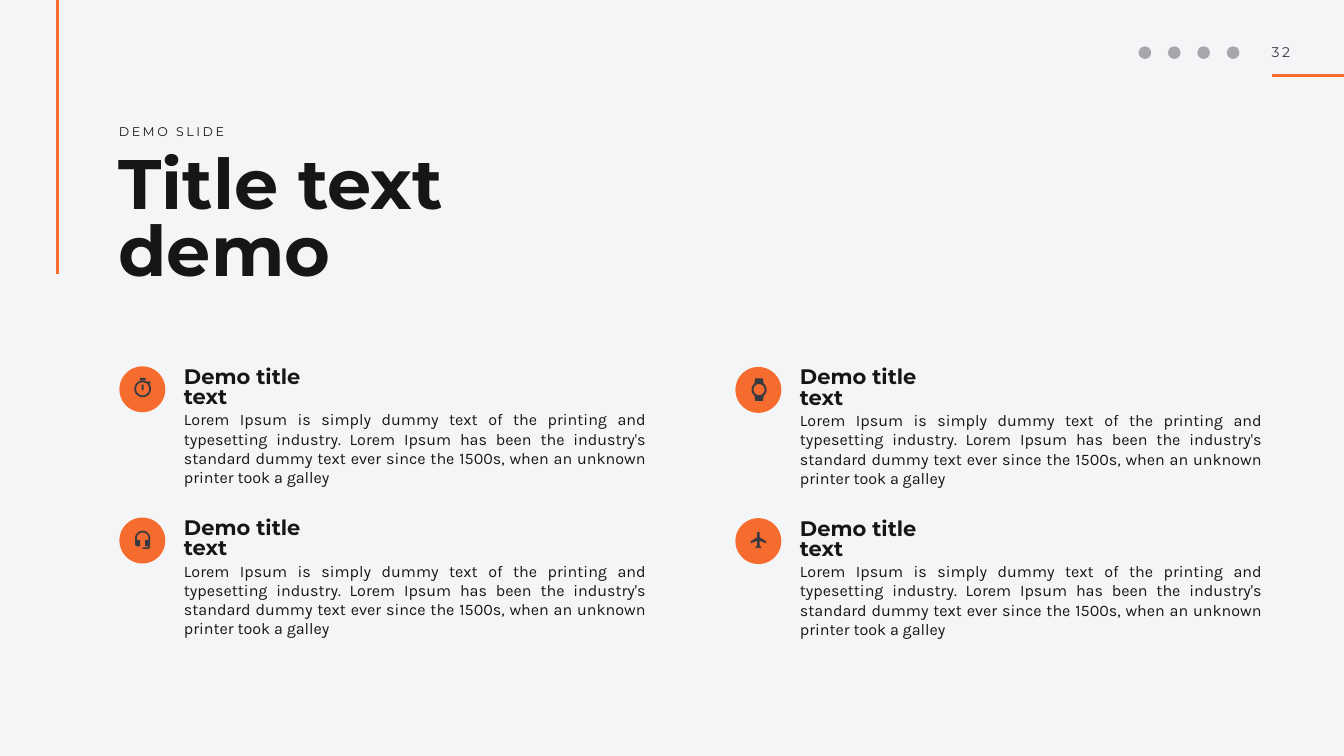
from dataclasses import dataclass
from math import cos, radians, sin

from lxml.etree import SubElement
from pptx import Presentation
from pptx.dml.color import RGBColor
from pptx.enum.shapes import MSO_CONNECTOR, MSO_SHAPE
from pptx.enum.text import MSO_ANCHOR, MSO_AUTO_SIZE, PP_ALIGN
from pptx.oxml.ns import qn
from pptx.util import Pt

Point = tuple[float, float]
Contour = list[Point]


@dataclass(frozen=True)
class Theme:
    background: str = "F4F5F7"
    accent: str = "F56C2E"
    ink: str = "151618"
    icon: str = "393941"
    muted: str = "A6A7AC"
    heading_font: str = "Montserrat"
    body_font: str = "Karla"
    title_size: float = 100
    item_title_size: float = 30
    body_size: float = 23
    number_size: float = 20
    label_size: float = 18
    line_width: float = 4
    inset: float = 2.9


@dataclass(frozen=True)
class Box:
    left: float
    top: float
    width: float
    height: float

    def lengths(self) -> list[Pt]:
        return [Pt(v) for v in (self.left, self.top, self.width, self.height)]


@dataclass(frozen=True)
class TextStyle:
    font: str
    size: float
    color: str
    bold: bool = False
    tracking: float = 0
    line_spacing: float = 1.0
    align: PP_ALIGN = PP_ALIGN.LEFT
    anchor: MSO_ANCHOR = MSO_ANCHOR.TOP


@dataclass(frozen=True)
class Feature:
    column: int
    row: int
    icon: list[Contour]


THEME = Theme()
TITLE = TextStyle(THEME.heading_font, THEME.title_size, THEME.ink, bold=True, line_spacing=0.8)
ITEM_TITLE = TextStyle(THEME.heading_font, THEME.item_title_size, THEME.ink, bold=True,
                       line_spacing=0.8, anchor=MSO_ANCHOR.MIDDLE)
BODY = TextStyle(THEME.body_font, THEME.body_size, THEME.ink, align=PP_ALIGN.JUSTIFY)
LABEL = TextStyle(THEME.heading_font, THEME.label_size, THEME.ink, tracking=3.6,
                  anchor=MSO_ANCHOR.MIDDLE)
NUMBER = TextStyle(THEME.heading_font, THEME.number_size, THEME.icon, tracking=4)

ITEM_TEXT = ("Lorem Ipsum is simply dummy text of the printing and typesetting industry. "
             "Lorem Ipsum has been the industry's standard dummy text ever since the 1500s, "
             "when an unknown printer took a galley")


def arc(x: float, y: float, radius: float, start: float, end: float) -> Contour:
    """Points along an arc; angles in degrees, clockwise from the right."""
    steps = max(4, round(abs(end - start) / 8))
    angles = [radians(start + (end - start) * i / steps) for i in range(steps + 1)]
    return [(x + radius * cos(a), y + radius * sin(a)) for a in angles]


def rectangle(left: float, top: float, right: float, bottom: float) -> Contour:
    return [(left, top), (right, top), (right, bottom), (left, bottom)]


# Icon outlines, relative to the centre of their disc
STOPWATCH = [
    rectangle(-3.5, -16.2, 4.5, -13.3),
    rectangle(-1, -6.8, 1.8, 1.1),
    arc(0.4, -0.7, 11.9, -37, 309) + [(9.7, -11.9), (11.9, -9.7)],
    arc(0.4, -0.7, 9.4, 360, 0),
]
WATCH = [
    arc(1, -0.4, 10.8, -52, 52) + [(6.4, 15.8), (-4.4, 15.8)]
    + arc(1, -0.4, 10.8, 128, 232) + [(-4.4, -16.6), (6.4, -16.6)],
    arc(1, -0.4, 7.9, 360, 0),
]
HEADSET = [
    arc(0.4, -3.2, 10.8, 180, 360) + arc(7.6, 8.3, 3.6, 0, 90)
    + [(0.4, 11.9), (0.4, 9.7), (8.7, 9.7), (8.7, 8.3), (4, 8.3), (4, -1.1), (8.7, -1.1)]
    + arc(0.4, -3.2, 8.3, 360, 180)
    + [(-7.9, -1.1), (-3.2, -1.1), (-3.2, 8.3)] + arc(-6.8, 4.7, 3.6, 90, 180),
]
PLANE_SIDE = [(1.8, -5.4), (11.2, 0.4), (11.2, 3.2), (1.8, -0.4), (1.8, 6.8), (4, 8.3), (4, 10.4)]
PLANE = [
    arc(0, -11.5, 1.8, 180, 360) + PLANE_SIDE + [(0, 9)]
    + [(-x, y) for x, y in reversed(PLANE_SIDE)],
]

FEATURES = [Feature(0, 0, STOPWATCH), Feature(0, 1, HEADSET),
            Feature(1, 0, WATCH), Feature(1, 1, PLANE)]

# Feature grid
DISC_X, DISC_Y, DISC_SIZE = 203.4, 556.2, 65.6
COLUMN_PITCH, ROW_PITCH, COLUMN_DROP = 880, 216, 0.8
TEXT_OFFSET = 56.5

# Social markers
MARKER_X, MARKER_Y, MARKER_PITCH, MARKER_SIZE = 1635.5, 75.2, 42, 18


def color(value: str) -> RGBColor:
    return RGBColor.from_string(value)


def write(shape, text: str, style: TextStyle) -> None:
    frame = shape.text_frame
    frame.text = text
    frame.word_wrap = True
    frame.auto_size = MSO_AUTO_SIZE.NONE
    frame.vertical_anchor = style.anchor
    frame.margin_left = frame.margin_right = Pt(THEME.inset)
    frame.margin_top = frame.margin_bottom = Pt(THEME.inset)
    paragraph = frame.paragraphs[0]
    paragraph.alignment = style.align
    paragraph.line_spacing = style.line_spacing
    run = paragraph.runs[0]
    run.font.name = style.font
    run.font.size = Pt(style.size)
    run.font.bold = style.bold
    run.font.color.rgb = color(style.color)
    if style.tracking:
        run._r.get_or_add_rPr().set("spc", str(round(style.tracking * 100)))


def add_text(slide, box: Box, text: str, style: TextStyle) -> None:
    write(slide.shapes.add_textbox(*box.lengths()), text, style)


def paint(shape, fill: str) -> None:
    shape.shadow.inherit = False
    shape.fill.solid()
    shape.fill.fore_color.rgb = color(fill)
    shape.line.fill.background()


def add_disc(slide, x: float, y: float, size: float, fill: str) -> None:
    box = Box(x - size / 2, y - size / 2, size, size)
    paint(slide.shapes.add_shape(MSO_SHAPE.OVAL, *box.lengths()), fill)


def add_icon(slide, x: float, y: float, contours: list[Contour]) -> None:
    placed = [[(Pt(x + dx), Pt(y + dy)) for dx, dy in contour] for contour in contours]
    builder = slide.shapes.build_freeform(*placed[0][0])
    for contour in placed:
        builder.move_to(*contour[0])
        builder.add_line_segments(contour[1:], close=True)
    paint(builder.convert_to_shape(), THEME.icon)


def add_rule(slide, start: Point, end: Point) -> None:
    ends = [Pt(v) for v in (*start, *end)]
    connector = slide.shapes.add_connector(MSO_CONNECTOR.STRAIGHT, *ends)
    connector.line.color.rgb = color(THEME.accent)
    connector.line.width = Pt(THEME.line_width)
    SubElement(connector._element.spPr, qn("a:effectLst"))


def add_feature(slide, feature: Feature) -> None:
    x = DISC_X + feature.column * COLUMN_PITCH
    y = DISC_Y + feature.row * ROW_PITCH + feature.column * COLUMN_DROP
    add_disc(slide, x, y, DISC_SIZE, THEME.accent)
    add_icon(slide, x, y, feature.icon)
    add_text(slide, Box(x + TEXT_OFFSET, y - 33.4, 226, 64), "Demo title text", ITEM_TITLE)
    add_text(slide, Box(x + TEXT_OFFSET, y + 26.3, 666.7, 116.6), ITEM_TEXT, BODY)


def main() -> None:
    presentation = Presentation()
    presentation.slide_width, presentation.slide_height = Pt(1920), Pt(1080)
    slide = presentation.slides.add_slide(presentation.slide_layouts[5])
    slide.background.fill.solid()
    slide.background.fill.fore_color.rgb = color(THEME.background)

    # Header: social markers, page number and rules
    for index in range(4):
        add_disc(slide, MARKER_X + index * MARKER_PITCH, MARKER_Y, MARKER_SIZE, THEME.muted)
    add_text(slide, Box(1813.7, 59.8, 47.5, 30.2), "32", NUMBER)
    add_rule(slide, (1817.3, 108), (1920, 108))
    add_rule(slide, (82, 0), (82, 391.7))

    # Title block
    add_text(slide, Box(167, 173.5, 305, 28), "DEMO SLIDE", LABEL)
    title = slide.shapes.title
    title.left, title.top, title.width, title.height = Box(166.3, 219.6, 716.4, 249.8).lengths()
    write(title, "Title text demo", TITLE)

    # Feature grid
    for feature in FEATURES:
        add_feature(slide, feature)

    presentation.save("out.pptx")


if __name__ == "__main__":
    main()
